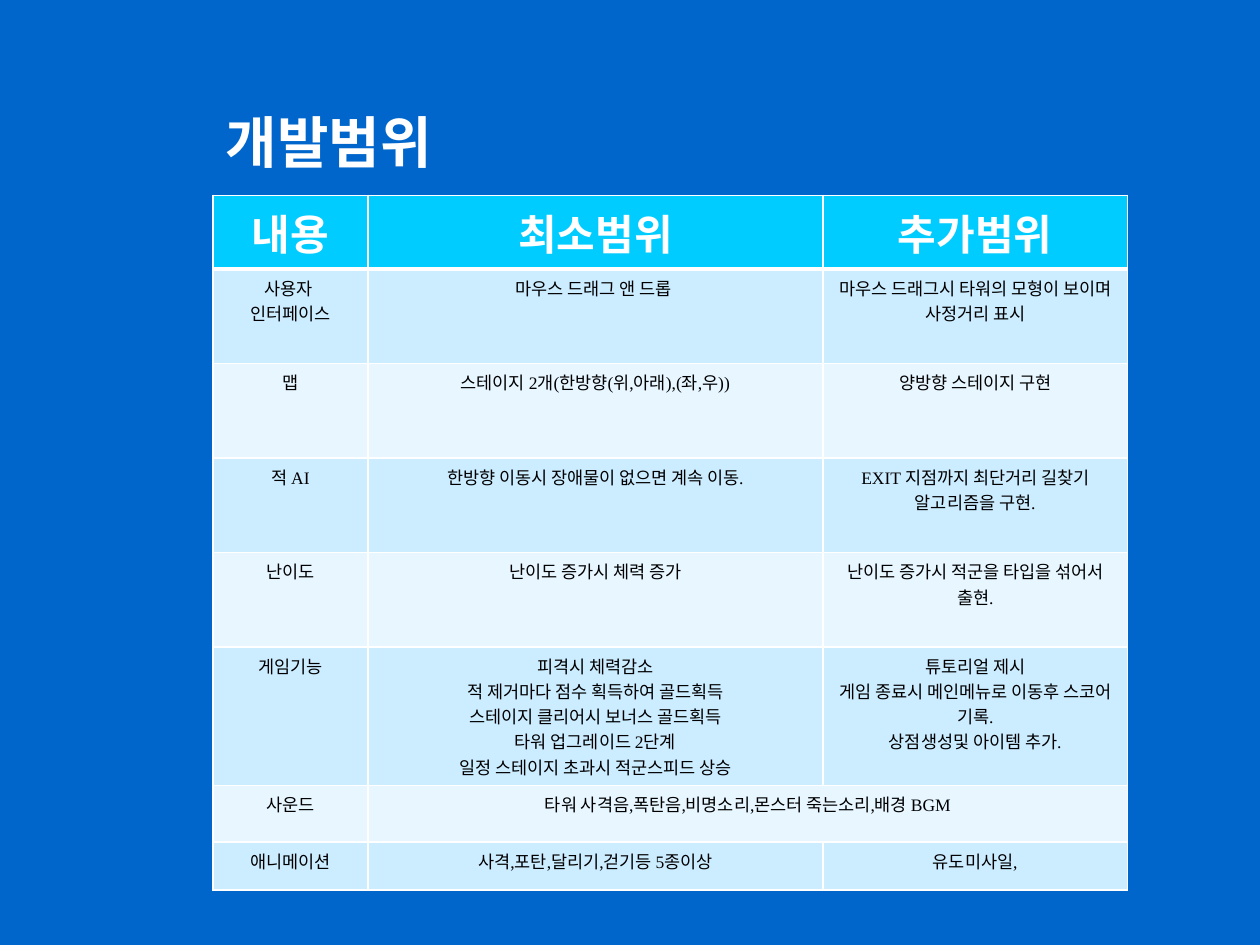
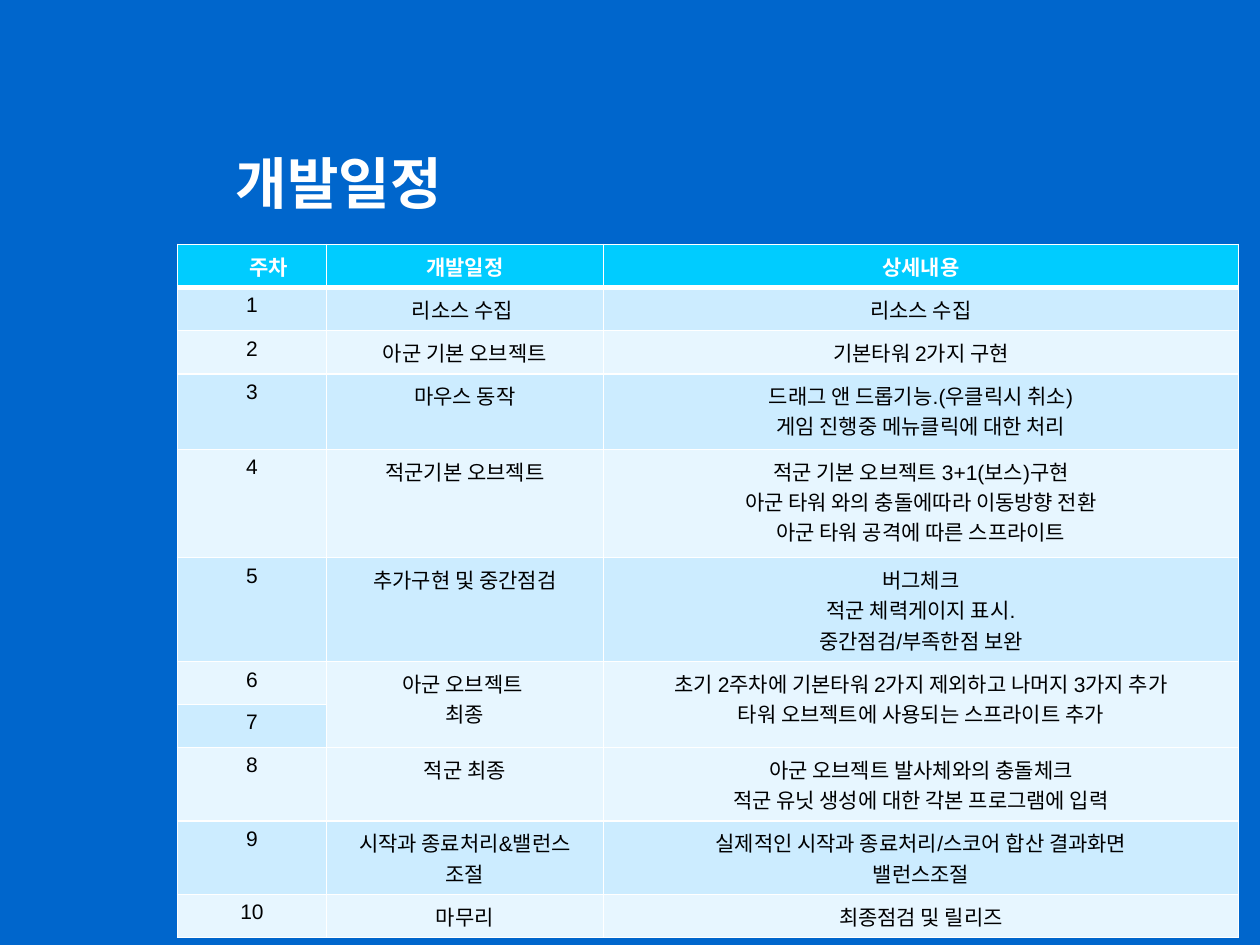
import pptx
import pptx.util
import pptx.dml.color
import pptx.enum.text
import pptx.oxml
import pptx.oxml.ns

NAVY = pptx.dml.color.RGBColor(0x00, 0x66, 0xCC)
CYAN = pptx.dml.color.RGBColor(0x00, 0xCC, 0xFF)
PALE = pptx.dml.color.RGBColor(0xCC, 0xEC, 0xFF)
PALER = pptx.dml.color.RGBColor(0xE7, 0xF6, 0xFF)
WHITE = pptx.dml.color.RGBColor(0xFF, 0xFF, 0xFF)
BLACK = pptx.dml.color.RGBColor(0x00, 0x00, 0x00)

deck = pptx.Presentation()
deck.slide_width = pptx.util.Inches(10)
deck.slide_height = pptx.util.Inches(7.5)
GRID = deck.slide_width / 100
TITLE_WIDTH, TITLE_HEIGHT = 72.5, 9.2

background = deck.slide_master.background.fill
background.solid()
background.fore_color.rgb = NAVY


def span(count):
    return round(count * GRID)


def add_border(cell, side, points):
    line = pptx.oxml.parse_xml(
        f'<a:{side} {pptx.oxml.ns.nsdecls("a")} w="{pptx.util.Pt(points)}">'
        f'<a:solidFill><a:srgbClr val="{WHITE}"/></a:solidFill></a:{side}>'
    )
    cell._tc.get_or_add_tcPr().append(line)


scope_rows = [
    ["내용", "최소범위", "추가범위"],
    ["사용자 \n인터페이스", "마우스 드래그 앤 드롭 ", "마우스 드래그시 타워의 모형이 보이며 사정거리 표시"],
    ["맵", "스테이지 2개(한방향(위,아래),(좌,우))", "양방향 스테이지 구현"],
    ["적 AI", "한방향 이동시 장애물이 없으면 계속 이동.", "EXIT 지점까지 최단거리 길찾기 알고리즘을 구현."],
    ["난이도", "난이도 증가시 체력 증가", "난이도 증가시 적군을 타입을 섞어서 출현."],
    [
        "게임기능",
        "피격시 체력감소\n적 제거마다 점수 획득하여 골드획득\n스테이지 클리어시 보너스 골드획득\n"
        "타워 업그레이드 2단계\n일정 스테이지 초과시 적군스피드 상승",
        "튜토리얼 제시\n게임 종료시 메인메뉴로 이동후 스코어 기록.\n상점생성및 아이템 추가.",
    ],
    ["사운드", "타워 사격음,폭탄음,비명소리,몬스터 죽는소리,배경 BGM", ""],
    ["애니메이션", "사격,포탄,달리기,걷기등 5종이상", "유도미사일,"],
]

schedule_rows = [
    ["주차", "개발일정", "상세내용"],
    ["1", "리소스 수집 ", "리소스 수집"],
    ["2", "아군 기본 오브젝트", "기본타워 2가지 구현"],
    ["3", "마우스 동작", "드래그 앤 드롭기능.(우클릭시 취소)\n게임 진행중 메뉴클릭에 대한 처리"],
    [
        "4",
        "적군기본 오브젝트",
        "적군 기본 오브젝트 3+1(보스)구현\n아군 타워 와의 충돌에따라 이동방향 전환\n아군 타워 공격에 따른 스프라이트",
    ],
    ["5", "추가구현 및 중간점검", "버그체크\n적군 체력게이지 표시.\n중간점검/부족한점 보완"],
    [
        "6",
        "아군 오브젝트 \n최종",
        "초기 2주차에 기본타워 2가지 제외하고 나머지 3가지 추가\n타워 오브젝트에 사용되는 스프라이트 추가",
    ],
    ["7", "", ""],
    ["8", "적군 최종", "아군 오브젝트 발사체와의 충돌체크\n적군 유닛 생성에 대한 각본 프로그램에 입력"],
    ["9", "시작과 종료처리&밸런스 조절", "실제적인 시작과 종료처리/스코어 합산 결과화면\n밸런스조절"],
    ["10", "마무리", "최종점검 및 릴리즈"],
]

pages = [
    {
        "title": "개발범위", "title_at": (16.9, 5.2), "table_at": (16.9, 15.5), "height": 52.8,
        "columns": [12.3, 36.1, 24.2], "heights": [4.6] + [7.5] * 4 + [9.8, 4.5, 3.8],
        "rows": scope_rows, "merges": [((6, 1), (6, 2))],
        "font": "Times New Roman", "header_size": 24, "body_size": 10, "first_indent": 0,
    },
    {
        "title": "개발일정", "title_at": (17.7, 8.4), "table_at": (14.1, 19.4), "height": 52.3,
        "columns": [11.8, 22, 50.4], "heights": [3.4] * 3 + [6, 8.6] + [3.4] * 6,
        "rows": schedule_rows, "merges": [((6, 1), (7, 1)), ((6, 2), (7, 2))],
        "font": "Arial", "header_size": 12, "body_size": 12, "first_indent": 2.7,
    },
]

for content in pages:
    page = deck.slides.add_slide(deck.slide_layouts.get_by_name("Title Only"))

    title = page.shapes.title
    title.left, title.top = (span(count) for count in content["title_at"])
    title.width, title.height = span(TITLE_WIDTH), span(TITLE_HEIGHT)
    title.text = content["title"]
    title.text_frame.auto_size = pptx.enum.text.MSO_AUTO_SIZE.NONE
    title.text_frame.vertical_anchor = pptx.enum.text.MSO_ANCHOR.BOTTOM
    heading = title.text_frame.paragraphs[0]
    heading.alignment = pptx.enum.text.PP_ALIGN.LEFT
    heading.font.name = "Karla"
    heading.font.size = pptx.util.Pt(32)
    heading.font.bold = True
    heading.font.color.rgb = WHITE

    left, top = (span(count) for count in content["table_at"])
    frame = page.shapes.add_table(
        len(content["rows"]), len(content["columns"]),
        left, top, span(sum(content["columns"])), span(content["height"]),
    )
    table = frame.table
    table.horz_banding = False
    for column, width in zip(table.columns, content["columns"]):
        column.width = span(width)
    for row, height in zip(table.rows, content["heights"]):
        row.height = span(height)
    frame.height = span(content["height"])

    for row_index, texts in enumerate(content["rows"]):
        is_header = row_index == 0
        for column_index, text in enumerate(texts):
            cell = table.cell(row_index, column_index)
            cell.text = text
            add_border(cell, "lnL", 1)
            add_border(cell, "lnR", 1)
            add_border(cell, "lnT", 3 if row_index == 1 else 1)
            add_border(cell, "lnB", 3 if is_header else 1)
            cell.fill.solid()
            cell.fill.fore_color.rgb = CYAN if is_header else PALE if row_index % 2 else PALER
            for para in cell.text_frame.paragraphs:
                para.alignment = pptx.enum.text.PP_ALIGN.CENTER
                para.font.name = content["font"]
                para.font.size = pptx.util.Pt(content["header_size" if is_header else "body_size"])
                para.font.bold = is_header
                para.font.color.rgb = WHITE if is_header else BLACK

    table.cell(0, 0).margin_left += span(content["first_indent"])
    for first, last in content["merges"]:
        table.cell(*first).merge(table.cell(*last))

deck.save("out.pptx")
